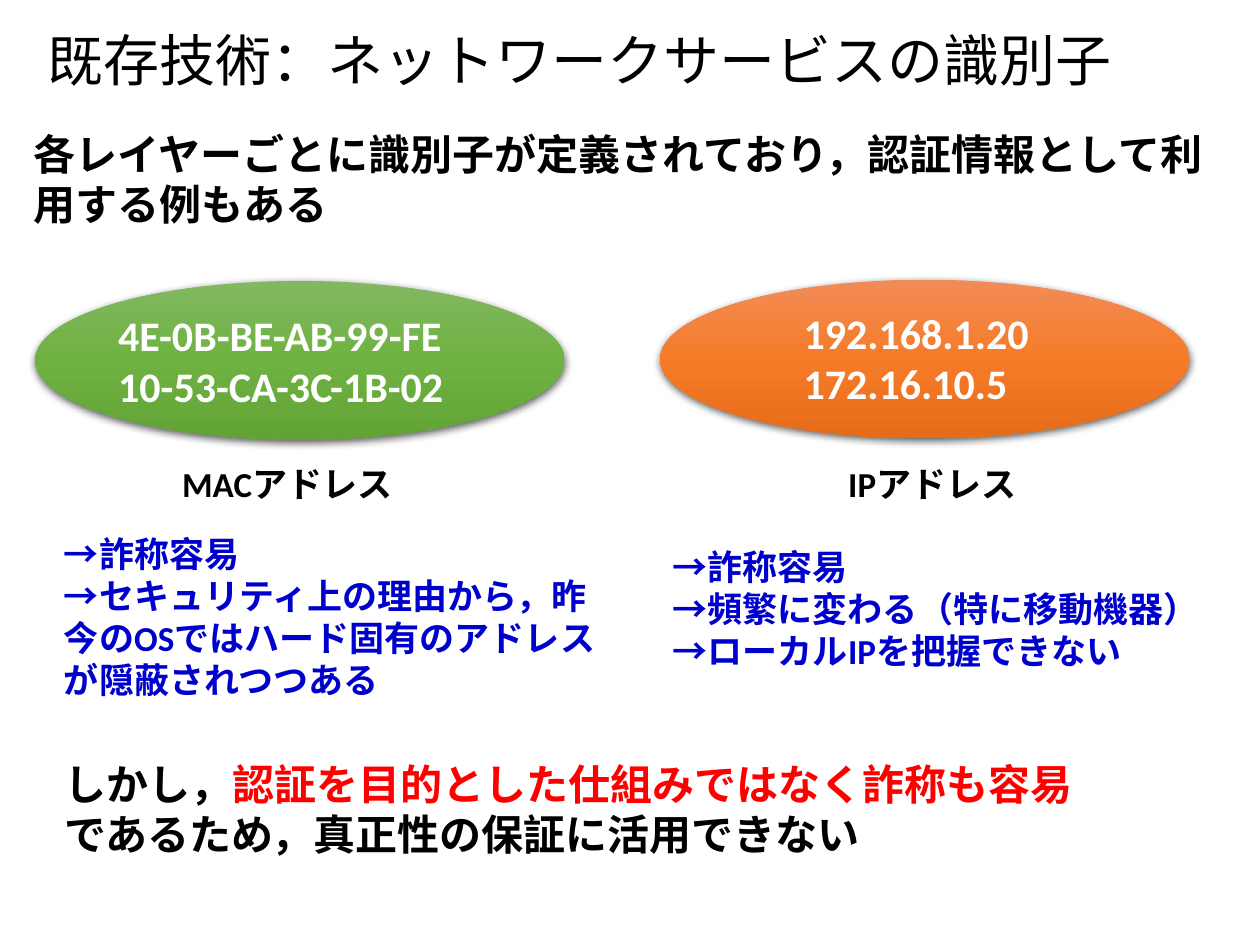
from copy import deepcopy

from lxml.etree import SubElement
from pptx import Presentation
from pptx.dml.color import RGBColor
from pptx.enum.shapes import MSO_SHAPE
from pptx.enum.text import MSO_ANCHOR, PP_ALIGN
from pptx.oxml.ns import qn
from pptx.util import Inches, Pt

BLACK = RGBColor(0x00, 0x00, 0x00)
WHITE = RGBColor(0xFF, 0xFF, 0xFF)
RED = RGBColor(0xFF, 0x00, 0x00)
BLUE = RGBColor(0x00, 0x00, 0xCC)
GREENS = [RGBColor(0x81, 0xB8, 0x61), RGBColor(0x6F, 0xB2, 0x42), RGBColor(0x62, 0xA3, 0x36)]
ORANGES = [RGBColor(0xF1, 0x8C, 0x57), RGBColor(0xF6, 0x7B, 0x28), RGBColor(0xE5, 0x6C, 0x19)]


class SlideBuilder:
    font = "Calibri"

    def __init__(self, slide):
        self.slide = slide

    def ellipse(self, left, top, width, height, colors):
        s = self.slide.shapes.add_shape(
            MSO_SHAPE.OVAL, Inches(left), Inches(top), Inches(width), Inches(height))
        s.line.fill.background()
        s.fill.gradient()
        s.fill.gradient_angle = 270
        stops = s._element.spPr.find(qn("a:gradFill")).find(qn("a:gsLst"))
        stops.append(deepcopy(stops[0]))
        for stop, position, color in zip(s.fill.gradient_stops, (0, 0.5, 1), colors):
            stop.position = position
            stop.color.rgb = color
        self.drop_shadow(s)

    def drop_shadow(self, s):
        s.shadow.inherit = False
        effects = s._element.spPr.find(qn("a:effectLst"))
        shadow = SubElement(effects, qn("a:outerShdw"), blurRad=str(Pt(4.5)),
                            dist=str(Pt(1.5)), dir="5400000", algn="ctr", rotWithShape="0")
        color = SubElement(shadow, qn("a:srgbClr"), val="000000")
        SubElement(color, qn("a:alpha"), val="63000")

    def text(self, left, top, width, height, paragraphs, size, color=BLACK,
             bold=True, align=PP_ALIGN.LEFT, fill=None):
        s = self.slide.shapes.add_textbox(
            Inches(left), Inches(top), Inches(width), Inches(height))
        if fill is not None:
            s.fill.solid()
            s.fill.fore_color.rgb = fill
        tf = s.text_frame
        tf.word_wrap = True
        tf.text = "\n".join(paragraphs)
        for p in tf.paragraphs:
            p.alignment = align
            for r in p.runs:
                self.style(r, size, color, bold)
        return tf

    def style(self, r, size, color, bold=True):
        r.font.name = self.font
        r.font.size = Pt(size)
        r.font.bold = bold
        r.font.color.rgb = color

    def title(self, left, top, width, height, title):
        tf = self.text(left, top, width, height, [title], 32, bold=False)
        tf.vertical_anchor = MSO_ANCHOR.MIDDLE
        tf.paragraphs[0].line_spacing = 0.9

    def conclusion(self, left, top, width, height, parts):
        p = self.text(left, top, width, height, [], 24).paragraphs[0]
        for part, color in parts:
            r = p.add_run()
            r.text = part
            self.style(r, 24, color)


def main():
    prs = Presentation()
    prs.slide_width, prs.slide_height = Inches(10), Inches(7.5)
    b = SlideBuilder(prs.slides.add_slide(prs.slide_layouts[6]))

    b.ellipse(5.24, 2.22, 4.2, 1.26, ORANGES)
    b.ellipse(0.28, 2.23, 4.2, 1.26, GREENS)
    b.title(0.28, 0.14, 9.16, 0.72, "既存技術：ネットワークサービスの識別子")
    b.text(0.17, 0.97, 9.58, 0.91,
           ["各レイヤーごとに識別子が定義されており，認証情報として利用する例もある"], 24)

    b.text(0.84, 2.41, 3.37, 0.91, ["4E-0B-BE-AB-99-FE", "10-53-CA-3C-1B-02"], 24, WHITE)
    b.text(6.28, 2.39, 2.69, 0.91, ["192.168.1.20", "172.16.10.5"], 24, WHITE)
    for left, label in ((0.55, "MACアドレス"), (5.67, "IPアドレス")):
        b.text(left, 3.62, 3.46, 0.44, [label], 20, align=PP_ALIGN.CENTER)

    b.text(5.24, 4.28, 4.65, 1.11,
           ["→詐称容易", "→頻繁に変わる（特に移動機器）", "→ローカルIPを把握できない"],
           20, BLUE, fill=WHITE)
    b.text(0.41, 4.18, 4.57, 1.45,
           ["→詐称容易",
            "→セキュリティ上の理由から，昨今のOSではハード固有のアドレスが隠蔽されつつある"],
           20, BLUE, fill=WHITE)
    b.conclusion(0.41, 5.97, 8.21, 0.91,
                 [("しかし，", BLACK),
                  ("認証を目的とした仕組みではなく詐称も容易", RED),
                  ("であるため，真正性の保証に活用できない", BLACK)])
    prs.save("out.pptx")


if __name__ == "__main__":
    main()
